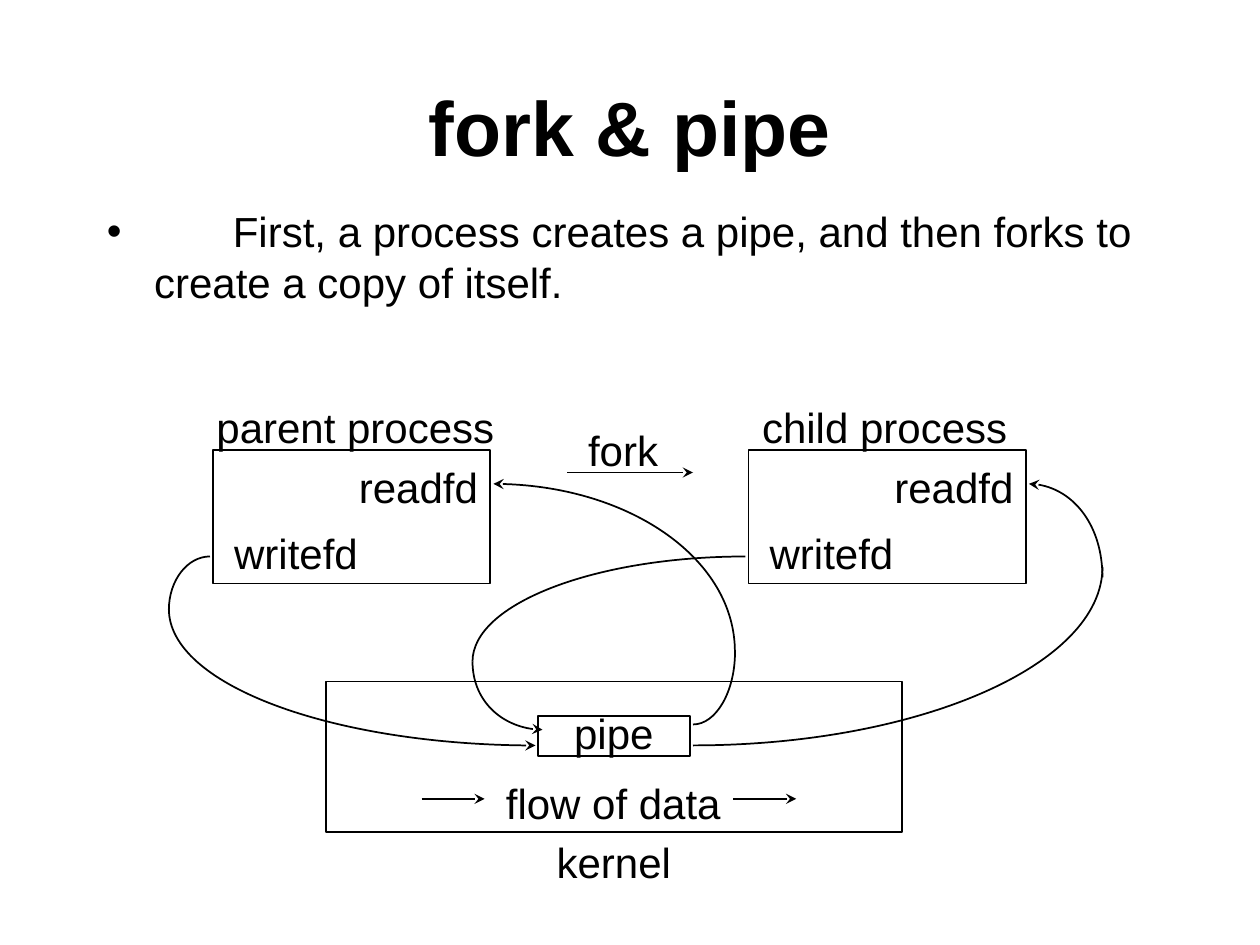
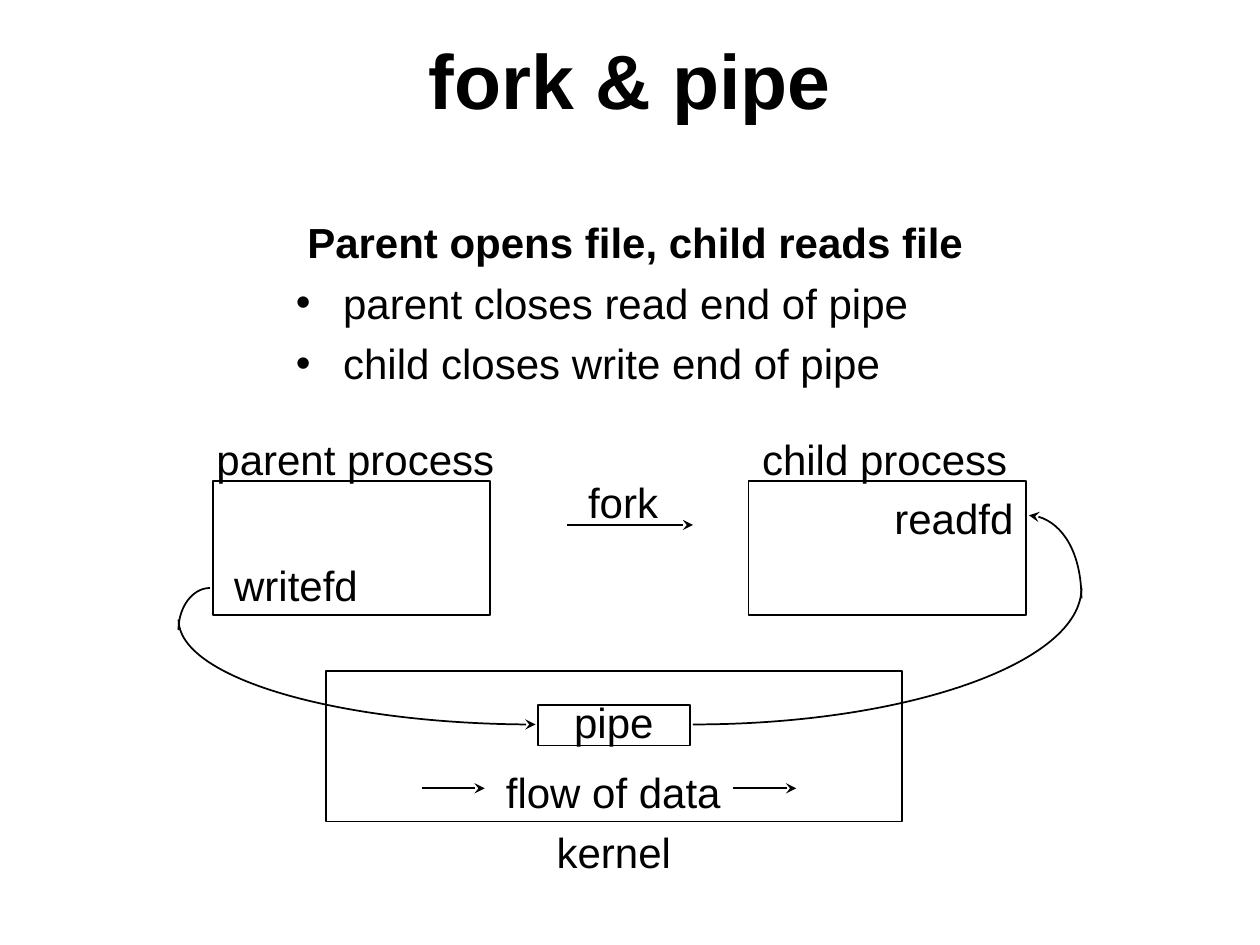
from dataclasses import dataclass

from lxml import etree
from pptx import Presentation
from pptx.dml.color import RGBColor
from pptx.enum import shapes, text
from pptx.oxml.ns import qn
from pptx.util import Pt


@dataclass(frozen=True)
class Theme:
    ink: RGBColor = RGBColor(0, 0, 0)
    font: str = "Arial"
    title_size: int = 44
    text_size: int = 24
    line_width: int = 1
    indent: int = 27
    gap: int = 6
    tab: int = 72


theme = Theme()
LEFT, CENTER = text.PP_ALIGN.LEFT, text.PP_ALIGN.CENTER


def add_text(page, lines, frame, size=theme.text_size, wrap=True, anchor=text.MSO_ANCHOR.TOP):
    box = page.shapes.add_textbox(*map(Pt, frame))
    words = box.text_frame
    words.word_wrap = wrap
    words.vertical_anchor = anchor
    words.auto_size = text.MSO_AUTO_SIZE.NONE if wrap else text.MSO_AUTO_SIZE.SHAPE_TO_FIT_TEXT
    for number, (line, align, bold, bullet) in enumerate(lines):
        para = words.add_paragraph() if number else words.paragraphs[0]
        para.text = line
        para.alignment = align
        if number:
            para.space_before = Pt(theme.gap)
        if bullet:
            props = para._p.get_or_add_pPr()
            props.set("marL", str(Pt(theme.indent)))
            props.set("indent", str(-Pt(theme.indent)))
            etree.SubElement(props, qn("a:buFont"), typeface=theme.font)
            etree.SubElement(props, qn("a:buChar"), char="•")
            tabs = etree.SubElement(props, qn("a:tabLst"))
            etree.SubElement(tabs, qn("a:tab"), pos=str(Pt(theme.tab)), algn="l")
        para.font.name = theme.font
        para.font.size = Pt(size)
        para.font.bold = bold
        para.font.color.rgb = theme.ink


def style_line(shape, arrow=False):
    shape.line.color.rgb = theme.ink
    shape.line.width = Pt(theme.line_width)
    if arrow:
        etree.SubElement(shape.line._get_or_add_ln(), qn("a:tailEnd"), type="stealth")
    if shape.shape_type == shapes.MSO_SHAPE_TYPE.LINE:
        etree.SubElement(shape._element.spPr, qn("a:effectLst"))
    else:
        shape.fill.background()
        shape.shadow.inherit = False


PARENT_LEFT, CHILD_LEFT = 121.7, 427.7
BOTH = (PARENT_LEFT, CHILD_LEFT)
BEND = 0.55

pages = [
    dict(
        title=(54, 42, 612, 60),
        body=(54, 114, 612, 72),
        lines=[("\tFirst, a process creates a pipe, and then forks to create a copy of itself.",
                LEFT, False, True)],
        process_top=257, kernel_top=389.5, fork_y=270,
        readers=BOTH, writers=BOTH,
        curves=[
            (96.5, 348, 306, 426, True),
            (96.5, 348.5, 120, 318, False),
            (420, 372.5, 282, 276.5, True),
            (270, 378, 310, 417, True),
            (270, 378, 426, 318, False),
            (630, 324, 396, 426, False),
            (630, 330, 588, 276.5, True),
            (420, 372.5, 396, 414, False),
        ],
    ),
    dict(
        title=(54, 12, 612, 66),
        body=(162, 120, 402, 114),
        lines=[("Parent opens file, child reads file", CENTER, True, False),
               ("parent closes read end of pipe", LEFT, False, True),
               ("child closes write end of pipe", LEFT, False, True)],
        process_top=275, kernel_top=383.5, fork_y=300,
        readers=[CHILD_LEFT], writers=[PARENT_LEFT],
        curves=[
            (102, 354, 306, 414, True),
            (102, 360, 120, 336, False),
            (618, 336, 396, 414, False),
            (618, 342, 588, 294.5, True),
        ],
    ),
]

deck = Presentation()
deck.slide_width, deck.slide_height = Pt(720), Pt(540)

for plan in pages:
    page = deck.slides.add_slide(deck.slide_layouts[6])
    process_top, kernel_top, fork_y = plan["process_top"], plan["kernel_top"], plan["fork_y"]

    add_text(page, [("fork & pipe", CENTER, True, False)], plan["title"],
             theme.title_size, anchor=text.MSO_ANCHOR.MIDDLE)
    add_text(page, plan["lines"], plan["body"])

    rectangles = [
        (186.5, kernel_top, 329, 86),
        (307.5, kernel_top + 19.5, 87, 23),
        *[(left, process_top, 158.5, 76.5) for left in BOTH],
    ]
    for frame in rectangles:
        style_line(page.shapes.add_shape(shapes.MSO_SHAPE.RECTANGLE, *map(Pt, frame)))

    labels = [
        ("pipe", 321, kernel_top + 11.25, 60),
        ("flow of data", 282, kernel_top + 51, 137.5),
        ("kernel", 311, kernel_top + 85, 80),
        ("parent process", 116.6, process_top - 31, 173.5),
        ("child process", 428.4, process_top - 31, 155),
        ("fork", 329, fork_y - 31, 55),
        *[("readfd", left + 76.3, process_top + 3, 83) for left in plan["readers"]],
        *[("writefd", left + 5, process_top + 41, 85) for left in plan["writers"]],
    ]
    for label, left, top, width in labels:
        add_text(page, [(label, LEFT, False, False)], (left, top, width, 36), wrap=False)

    flow_y = kernel_top + 67
    for start, end, y in [(241, 277, flow_y), (419, 455, flow_y), (324, 396, fork_y)]:
        arrow = page.shapes.add_connector(shapes.MSO_CONNECTOR.STRAIGHT,
                                          Pt(start), Pt(y), Pt(end), Pt(y))
        style_line(arrow, arrow=True)

    for upright_x, upright_y, level_x, level_y, has_arrow in plan["curves"]:
        points = [
            (upright_x, upright_y + BEND * (level_y - upright_y)),
            (level_x + BEND * (upright_x - level_x), level_y),
            (level_x, level_y),
        ]
        builder = page.shapes.build_freeform(Pt(upright_x), Pt(upright_y))
        builder.add_line_segments([(Pt(x), Pt(y)) for x, y in points], close=False)
        curve = builder.convert_to_shape()
        segments = list(curve._element.iter(qn("a:lnTo")))
        bezier = etree.SubElement(segments[0].getparent(), qn("a:cubicBezTo"))
        for segment in segments:
            bezier.append(segment[0])
            segment.getparent().remove(segment)
        style_line(curve, has_arrow)

deck.save("out.pptx")
